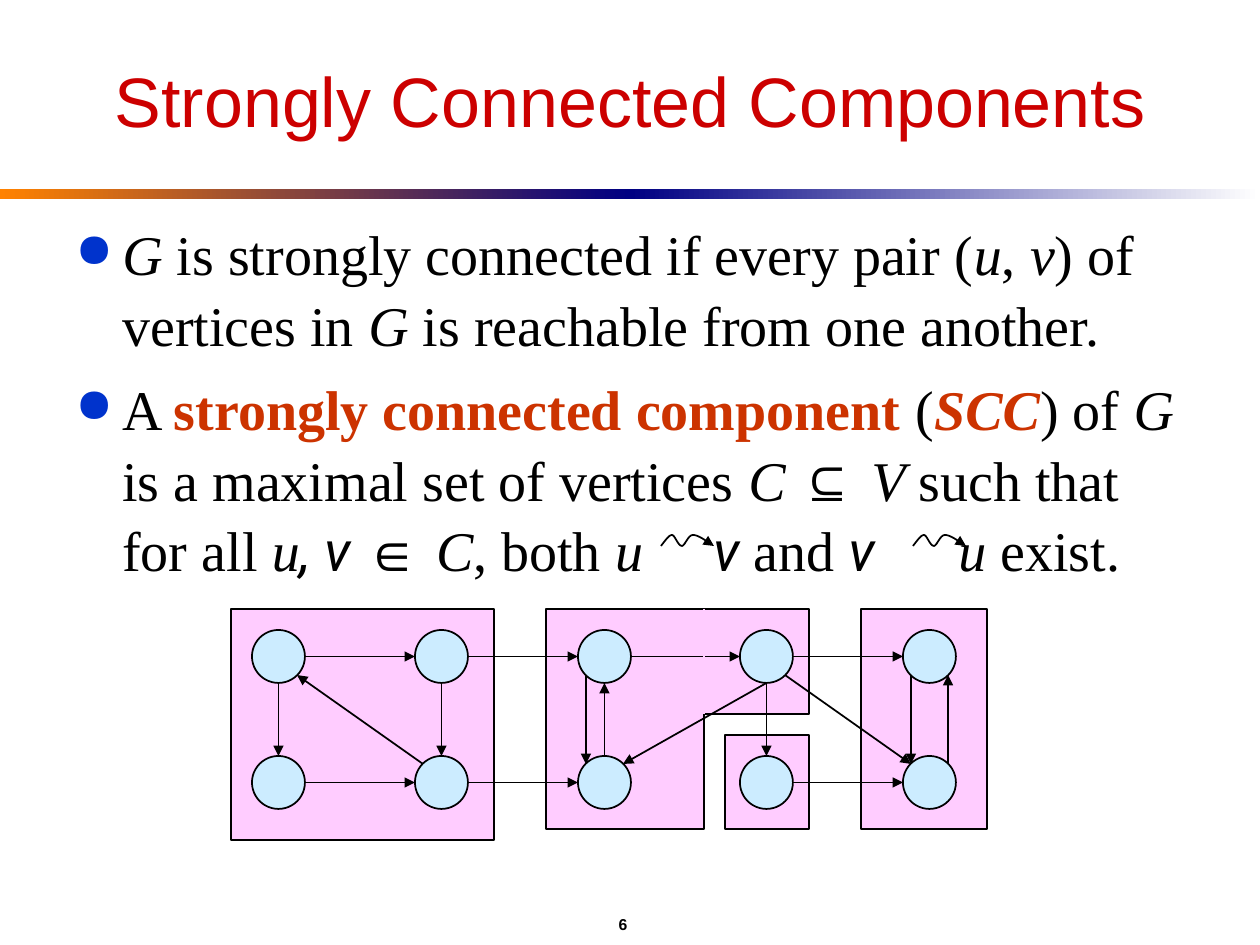
"""Build a slide that defines strongly connected components and shows them on a graph."""
from dataclasses import dataclass

from lxml import etree
from pptx import Presentation
from pptx.dml.color import RGBColor
from pptx.enum.shapes import MSO_CONNECTOR, MSO_SHAPE
from pptx.enum.text import MSO_ANCHOR, PP_ALIGN
from pptx.oxml.ns import qn
from pptx.util import Emu, Pt

RECTANGLE, OVAL = MSO_SHAPE.RECTANGLE, MSO_SHAPE.OVAL
STRAIGHT = MSO_CONNECTOR.STRAIGHT
TOP, MIDDLE = MSO_ANCHOR.TOP, MSO_ANCHOR.MIDDLE
LEFT, CENTER = PP_ALIGN.LEFT, PP_ALIGN.CENTER


@dataclass(frozen=True)
class Theme:
    sans: str = "Arial"
    serif: str = "Times New Roman"
    alternate: str = "Roboto"
    ink: str = "000000"
    title: str = "CC0000"
    term: str = "CC3300"
    bullet: str = "0033CC"
    component: str = "FFCCFF"
    vertex: str = "CCECFF"
    orange: str = "FF8200"
    navy: str = "000082"
    white: str = "FFFFFF"
    title_size: int = 40
    body_size: int = 32
    number_size: int = 9


THEME = Theme()
TITLE = "Strongly Connected Components"
NUMBER = "6"

STYLES = {
    "plain": (THEME.serif, THEME.ink, False, False),
    "math": (THEME.serif, THEME.ink, False, True),
    "alt": (THEME.alternate, THEME.ink, False, True),
    "symbol": (THEME.sans, THEME.ink, False, False),
    "term": (THEME.serif, THEME.term, True, False),
    "acronym": (THEME.serif, THEME.term, True, True),
}
DEFINITIONS = [
    [("G", "math"), (" is strongly connected if every pair (", "plain"), ("u", "math"),
     (", ", "plain"), ("v", "math"), (") of vertices in ", "plain"), ("G ", "math"),
     ("is reachable from one another.", "plain")],
    [("A ", "plain"), ("strongly connected component ", "term"), ("(", "plain"),
     ("SCC", "acronym"), (") of ", "plain"), ("G ", "math"),
     ("is a maximal set of vertices ", "plain"), ("C ", "math"), ("⊆ ", "symbol"),
     ("V ", "math"), ("such that for all ", "plain"), ("u", "math"), (", v ", "alt"),
     ("∈ ", "symbol"), ("C", "math"), (", both ", "plain"), ("u", "math"),
     (" ", "math", 32), ("v ", "alt"), ("and ", "plain"), ("v", "alt"),
     (" ", "alt", 40), ("u", "math"), (" exist.", "plain")],
]

RULE_HALVES = [(0, THEME.orange, THEME.navy), (630, THEME.navy, THEME.white)]
COMPONENTS = [(725, 735, 84, 94), (861, 609, 126, 220), (704, 609, 105, 105),
              (546, 609, 158, 220), (231, 609, 263, 231)]
SEAM = ((704, 609), (704, 714))

VERTEX_SIZE = 53
COLUMNS = [round(252 + 162.75 * column) for column in range(5)]
ROWS = [630, 756]
PORTS = {"N": (0.5, 0), "S": (0.5, 1), "W": (0, 0.5), "E": (1, 0.5),
         "NW": (0.15, 0.15), "NE": (0.85, 0.15), "SW": (0.15, 0.85), "SE": (0.85, 0.85)}
EDGES = [
    ((0, 0), "E", (1, 0), "W"), ((0, 0), "S", (0, 1), "N"), ((1, 0), "S", (1, 1), "N"),
    ((0, 1), "E", (1, 1), "W"), ((1, 1), "NW", (0, 0), "SE"), ((2, 0), "E", (3, 0), "W"),
    ((3, 0), "S", (2, 1), "NE"), ((2, 1), "N", (2, 0), "S"), ((2, 0), "SW", (2, 1), "NW"),
    ((3, 0), "S", (3, 1), "N"), ((4, 0), "SW", (4, 1), "NW"), ((4, 1), "NE", (4, 0), "SE"),
    ((3, 0), "E", (4, 0), "W"), ((3, 0), "SE", (4, 1), "NW"), ((3, 1), "E", (4, 1), "W"),
    ((1, 0), "E", (2, 0), "W"), ((1, 1), "E", (2, 1), "W"),
]

SQUIGGLES = [(661, 535), (913, 535)]
WAVE = [(0, 11), (4, 6), (8, 0), (11, 0), (14, 0), (17, 11), (21, 11),
        (24, 11), (27, 0), (32, 0), (37, 0), (44, 5), (53, 11)]
WAVE_STEPS = 8


def px(length):
    return Emu(round(length * 914400 / 126))


def rgb(color):
    return RGBColor.from_string(color)


def style_line(line, color=THEME.ink, arrow=False):
    line.color.rgb = rgb(color)
    line.width = Pt(1)
    if arrow:
        etree.SubElement(line._get_or_add_ln(), qn("a:tailEnd"), type="triangle")


def add_block(slide, kind, box, color):
    block = slide.shapes.add_shape(kind, *map(px, box))
    block.shadow.inherit = False
    block.fill.solid()
    block.fill.fore_color.rgb = rgb(color)
    style_line(block.line)


def add_rule_half(slide, left, start, end):
    half = slide.shapes.add_shape(RECTANGLE, *map(px, (left, 189, 630, 10)))
    half.shadow.inherit = False
    half.line.fill.background()
    half.fill.gradient()
    half.fill.gradient_angle = 0
    for stop, color, position in zip(half.fill.gradient_stops, (start, end), (0, 1)):
        stop.color.rgb = rgb(color)
        stop.position = position


def add_segment(slide, start, end, color=THEME.ink, arrow=False):
    segment = slide.shapes.add_connector(STRAIGHT, *map(px, (*start, *end)))
    etree.SubElement(segment._element.spPr, qn("a:effectLst"))
    style_line(segment.line, color, arrow)


def port_point(vertex, port):
    (column, row), (across, down) = vertex, PORTS[port]
    return COLUMNS[column] + across * VERTEX_SIZE, ROWS[row] + down * VERTEX_SIZE


def wave_points(left, top):
    points = [WAVE[0]]
    for first in range(0, len(WAVE) - 1, 3):
        controls = WAVE[first:first + 4]
        for step in range(1, WAVE_STEPS + 1):
            t = step / WAVE_STEPS
            weights = ((1 - t) ** 3, 3 * t * (1 - t) ** 2, 3 * t * t * (1 - t), t ** 3)
            points.append(tuple(sum(w * c[axis] for w, c in zip(weights, controls))
                                for axis in (0, 1)))
    return [(px(left + x), px(top + y)) for x, y in points]


def add_squiggle(slide, left, top):
    start, *rest = wave_points(left, top)
    builder = slide.shapes.build_freeform(*start)
    builder.add_line_segments(rest, close=False)
    squiggle = builder.convert_to_shape()
    squiggle.shadow.inherit = False
    squiggle.fill.background()
    style_line(squiggle.line, arrow=True)


def add_text(slide, box, paragraphs, size, align, anchor):
    frame = slide.shapes.add_textbox(*map(px, box)).text_frame
    frame.word_wrap = True
    frame.vertical_anchor = anchor
    for index, pieces in enumerate(paragraphs):
        paragraph = frame.paragraphs[0] if index == 0 else frame.add_paragraph()
        paragraph.alignment = align
        for text, (font, color, bold, italic), *gap in pieces:
            run = paragraph.add_run()
            run.text = text
            run.font.name, run.font.size = font, Pt(size)
            run.font.bold, run.font.italic = bold, italic
            run.font.color.rgb = rgb(color)
            for points in gap:
                run.font._element.set("spc", str(points * 100))
    return frame.paragraphs


def add_bullet(paragraph):
    properties = paragraph._p.get_or_add_pPr()
    properties.set("marL", str(px(47)))
    properties.set("indent", str(-px(47)))
    color = etree.SubElement(properties, qn("a:buClr"))
    etree.SubElement(color, qn("a:srgbClr"), val=THEME.bullet)
    etree.SubElement(properties, qn("a:buSzPct"), val="85000")
    etree.SubElement(properties, qn("a:buChar"), char="●")


def main():
    deck = Presentation()
    deck.slide_width, deck.slide_height = px(1260), px(945)
    slide = deck.slides.add_slide(deck.slide_layouts[6])
    for half in RULE_HALVES:
        add_rule_half(slide, *half)
    number_style = (THEME.sans, THEME.ink, True, False)
    add_text(slide, (63, 903, 1120, 42), [[(NUMBER, number_style)]],
             THEME.number_size, CENTER, MIDDLE)
    for box in COMPONENTS:
        add_block(slide, RECTANGLE, box, THEME.component)
    title_style = (THEME.sans, THEME.title, False, False)
    add_text(slide, (63, 32, 1134, 136), [[(TITLE, title_style)]],
             THEME.title_size, CENTER, MIDDLE)
    definitions = [[(text, STYLES[style], *gap) for text, style, *gap in pieces]
                   for pieces in DEFINITIONS]
    for index, paragraph in enumerate(add_text(slide, (63, 210, 1134, 599), definitions,
                                               THEME.body_size, LEFT, TOP)):
        add_bullet(paragraph)
        paragraph.line_spacing = 1.05
        paragraph.space_before = Pt(8 if index else 0)
    for corner in SQUIGGLES:
        add_squiggle(slide, *corner)
    for top in ROWS:
        for left in COLUMNS:
            add_block(slide, OVAL, (left, top, VERTEX_SIZE, VERTEX_SIZE), THEME.vertex)
    for source, exit_port, target, entry_port in EDGES:
        add_segment(slide, port_point(source, exit_port), port_point(target, entry_port),
                    arrow=True)
    add_segment(slide, *SEAM, color=THEME.component)
    deck.save("out.pptx")


if __name__ == "__main__":
    main()
